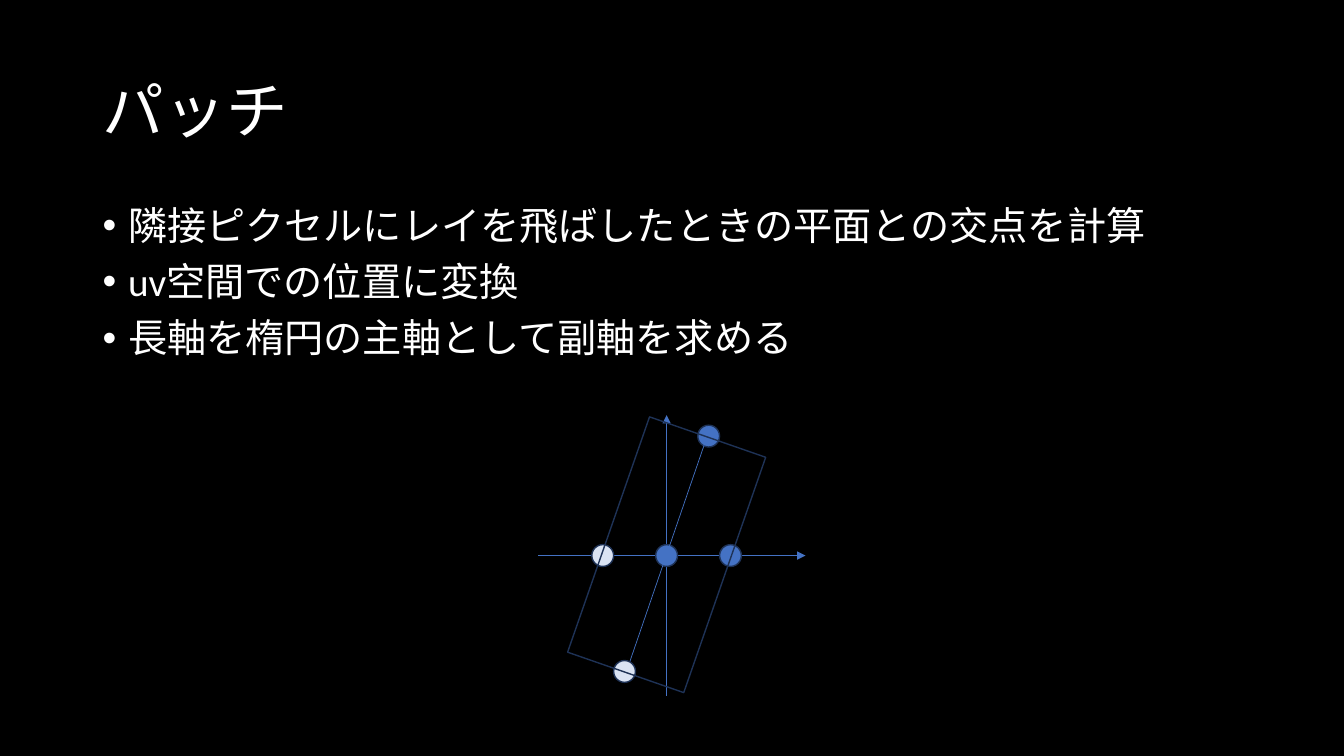
"""Build the slide about fitting an elliptical patch in uv space."""
from lxml import etree
from pptx import Presentation
from pptx.dml.color import RGBColor
from pptx.enum.shapes import MSO_CONNECTOR, MSO_SHAPE
from pptx.enum.text import MSO_ANCHOR, PP_ALIGN
from pptx.oxml.ns import qn
from pptx.util import Cm, Pt

BLACK = RGBColor(0x00, 0x00, 0x00)
WHITE = RGBColor(0xFF, 0xFF, 0xFF)
BLUE = RGBColor(0x44, 0x72, 0xC4)
PALE = RGBColor(0xDA, 0xE3, 0xF3)
NAVY = RGBColor(0x1E, 0x32, 0x56)
STRAIGHT = MSO_CONNECTOR.STRAIGHT
OVAL = MSO_SHAPE.OVAL
RECTANGLE = MSO_SHAPE.RECTANGLE
MIDDLE = MSO_ANCHOR.MIDDLE
LEFT = PP_ALIGN.LEFT

MARGIN, TEXT_WIDTH = 2.34, 29.21
CENTER_X, CENTER_Y = 16.8, 14.0
NEIGHBOR_STEP = 1.61
DOT_SIZE = 0.55


class PatchSlide:
    """Hold the text style and the slide being drawn."""

    def __init__(self, prs, font="Calibri"):
        self.font = font
        self.slide = prs.slides.add_slide(prs.slide_layouts[5])
        self.slide.background.fill.solid()
        self.slide.background.fill.fore_color.rgb = BLACK

    def style(self, paragraph, size):
        paragraph.alignment = LEFT
        paragraph.line_spacing = 0.9
        paragraph.font.name = self.font
        paragraph.font.size = Pt(size)
        paragraph.font.color.rgb = WHITE

    def title(self, text, top, height):
        title = self.slide.shapes.title
        title.left, title.top = Cm(MARGIN), Cm(top)
        title.width, title.height = Cm(TEXT_WIDTH), Cm(height)
        title.text_frame.text = text
        title.text_frame.vertical_anchor = MIDDLE
        self.style(title.text_frame.paragraphs[0], 44)

    def bullets(self, items, top, height):
        box = self.slide.shapes.add_textbox(Cm(MARGIN), Cm(top), Cm(TEXT_WIDTH), Cm(height))
        frame = box.text_frame
        frame.word_wrap = True
        frame.text = "\n".join(items)
        for index, paragraph in enumerate(frame.paragraphs):
            props = paragraph._p.get_or_add_pPr()
            props.set("marL", str(Cm(0.64)))
            props.set("indent", str(-Cm(0.64)))
            etree.SubElement(props, qn("a:buFont"), typeface="Arial")
            etree.SubElement(props, qn("a:buChar"), char="•")
            self.style(paragraph, 28)
            paragraph.space_before = Pt(10 if index else 0)

    def line(self, x1, y1, x2, y2, arrow=False):
        line = self.slide.shapes.add_connector(STRAIGHT, Cm(x1), Cm(y1), Cm(x2), Cm(y2))
        line.line.color.rgb = BLUE
        line.line.width = Pt(0.5)
        if arrow:
            etree.SubElement(line.line._get_or_add_ln(), qn("a:tailEnd"), type="triangle")
        etree.SubElement(line._element.spPr, qn("a:effectLst"))

    def shape(self, kind, x, y, width, height, fill=None, rotation=0):
        shape = self.slide.shapes.add_shape(
            kind, Cm(x - width / 2), Cm(y - height / 2), Cm(width), Cm(height))
        shape.rotation = rotation
        shape.shadow.inherit = False
        shape.line.color.rgb = NAVY
        shape.line.width = Pt(1)
        if fill is None:
            shape.fill.background()
        else:
            shape.fill.solid()
            shape.fill.fore_color.rgb = fill

    def dot(self, x, y, fill):
        self.shape(OVAL, x, y, DOT_SIZE, DOT_SIZE, fill)


def main():
    prs = Presentation()
    prs.slide_width, prs.slide_height = Cm(33.87), Cm(19.05)
    patch = PatchSlide(prs)
    patch.title("パッチ", 1.01, 3.68)
    patch.bullets([
        "隣接ピクセルにレイを飛ばしたときの平面との交点を計算",
        "uv空間での位置に変換",
        "長軸を楕円の主軸として副軸を求める",
    ], 5.07, 12.09)

    patch.line(13.56, CENTER_Y, 20.3, CENTER_Y, arrow=True)
    patch.line(CENTER_X, 17.53, CENTER_X, 10.46, arrow=True)
    for step, fill in ((0, BLUE), (1, BLUE), (-1, PALE)):
        patch.dot(CENTER_X + step * NEIGHBOR_STEP, CENTER_Y, fill)
    patch.dot(17.86, 10.99, BLUE)
    patch.line(17.83, 10.97, 15.77, 16.97)
    patch.dot(15.74, 16.92, PALE)
    patch.shape(RECTANGLE, CENTER_X, CENTER_Y - 0.02, 3.1, 6.28, rotation=19.2)

    prs.save("out.pptx")


if __name__ == "__main__":
    main()
